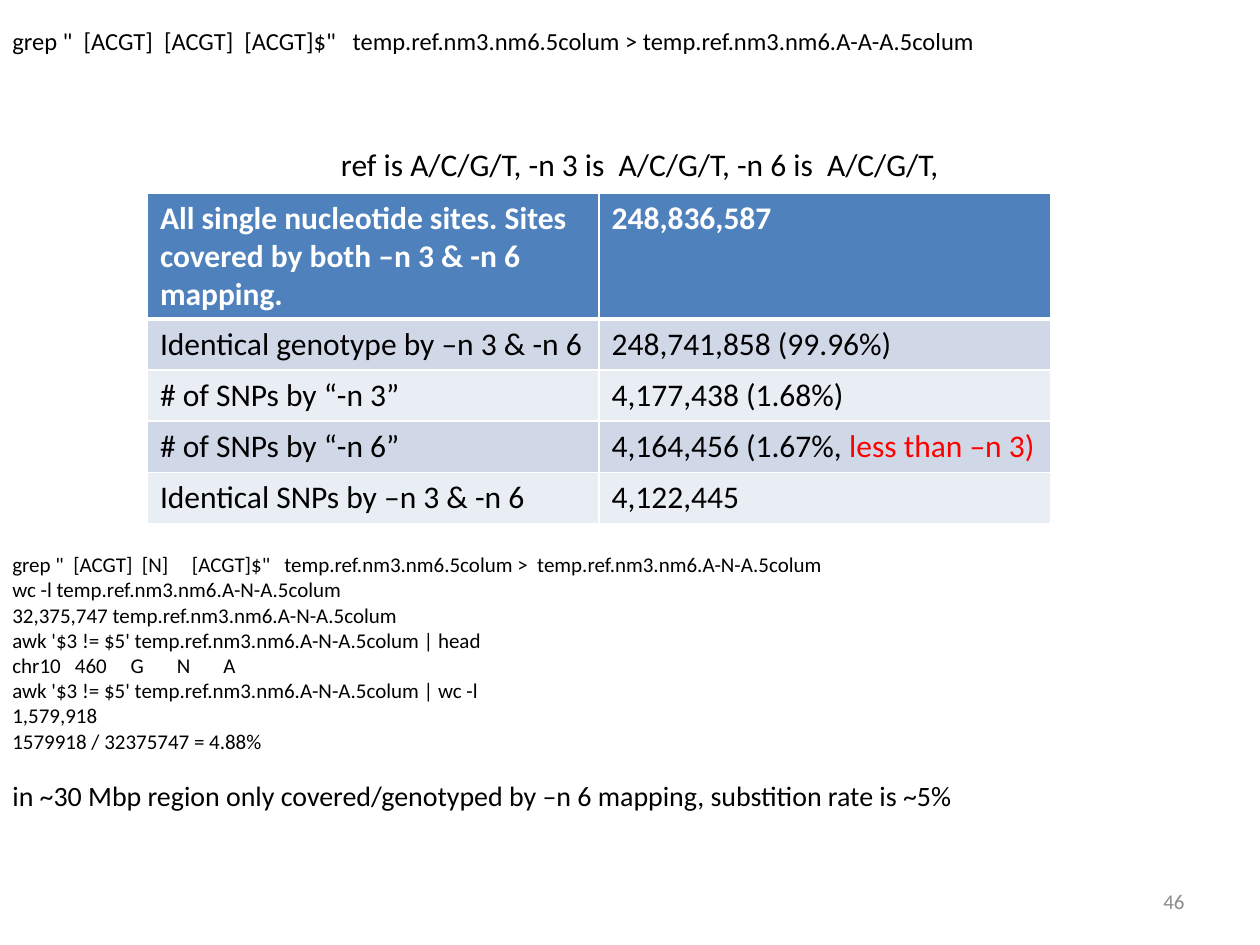
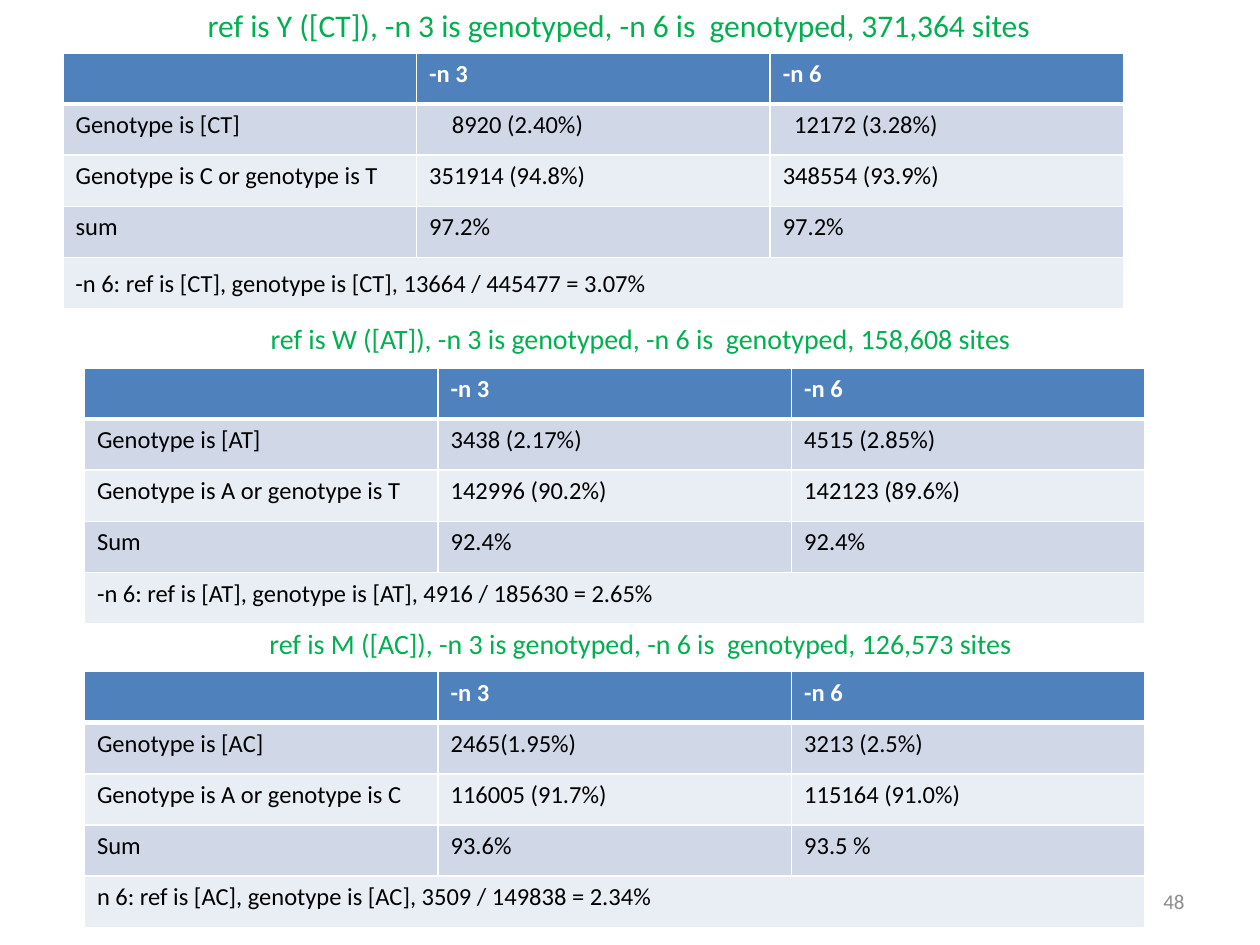
from pptx import Presentation
from pptx.dml.color import RGBColor
from pptx.enum.text import MSO_ANCHOR, MSO_AUTO_SIZE, PP_ALIGN
from pptx.oxml import parse_xml
from pptx.oxml.ns import nsdecls
from pptx.util import Inches, Pt

LEFT, CENTER, RIGHT = PP_ALIGN.LEFT, PP_ALIGN.CENTER, PP_ALIGN.RIGHT
TOP, MIDDLE = MSO_ANCHOR.TOP, MSO_ANCHOR.MIDDLE
GROW, FIXED = MSO_AUTO_SIZE.SHAPE_TO_FIT_TEXT, MSO_AUTO_SIZE.NONE

FONT = "Calibri"
BLACK = RGBColor(0x00, 0x00, 0x00)
WHITE = RGBColor(0xFF, 0xFF, 0xFF)
GRAY = RGBColor(0x8C, 0x8C, 0x8C)
RED = RGBColor(0xFF, 0x00, 0x00)
GREEN = RGBColor(0x00, 0xB0, 0x50)
HEADER_BLUE = RGBColor(0x4F, 0x81, 0xBD)
BANDS = (RGBColor(0xE9, 0xED, 0xF4), RGBColor(0xD0, 0xD8, 0xE8))
TITLE_ONLY_LAYOUT = 5
TABLE_HEIGHT = 2.03


def write(paragraph, text, size=14, color=BLACK, bold=False, align=LEFT):
    """Append one formatted run to a paragraph."""
    paragraph.alignment = align
    run = paragraph.add_run()
    run.text = text
    font = run.font
    font.name, font.size, font.bold = FONT, Pt(size), bold
    font.color.rgb = color


class SlideBuilder:
    """Hold the shared style and the slide being built."""

    def __init__(self):
        self.presentation = Presentation()
        self.presentation.slide_width = Inches(10)
        self.presentation.slide_height = Inches(7.5)
        self.slide = None

    def start_slide(self, number):
        layout = self.presentation.slide_layouts[TITLE_ONLY_LAYOUT]
        self.slide = self.presentation.slides.add_slide(layout)
        self.text(str(number), 7.17, 6.95, 2.33, 0.4, anchor=MIDDLE, auto_size=FIXED,
                  size=12, color=GRAY, align=RIGHT)

    def fill_frame(self, shape, lines, anchor=TOP, auto_size=GROW, **style):
        frame = shape.text_frame
        frame.word_wrap = True
        frame.auto_size = auto_size
        frame.vertical_anchor = anchor
        for index, line in enumerate(lines):
            paragraph = frame.add_paragraph() if index else frame.paragraphs[0]
            write(paragraph, line, **style)
        return frame

    def text(self, text, left, top, width, height, **style):
        box = self.slide.shapes.add_textbox(
            Inches(left), Inches(top), Inches(width), Inches(height))
        return self.fill_frame(box, text.split("\n"), **style)

    def title(self, text, left, top, width, height, **style):
        title = self.slide.shapes.title
        title.left, title.top = Inches(left), Inches(top)
        title.width, title.height = Inches(width), Inches(height)
        self.fill_frame(title, [text], align=CENTER, **style)

    def cell(self, cell, text, fill, bottom_width=1, **style):
        write(cell.text_frame.paragraphs[0], text, **style)
        properties = cell._tc.get_or_add_tcPr()
        for side in "LRTB":
            width = Pt(bottom_width if side == "B" else 1)
            properties.append(parse_xml(
                f'<a:ln{side} {nsdecls("a")} w="{width}"><a:solidFill>'
                f'<a:srgbClr val="{WHITE}"/></a:solidFill></a:ln{side}>'))
        cell.fill.solid()
        cell.fill.fore_color.rgb = fill

    def table(self, rows, left, top, width, size):
        frame = self.slide.shapes.add_table(
            len(rows), len(rows[0]), Inches(left), Inches(top),
            Inches(width), Inches(TABLE_HEIGHT))
        table = frame.table
        for row_index, row in enumerate(rows):
            for column_index, text in enumerate(row):
                cell = table.cell(row_index, column_index)
                if row_index == 0:
                    self.cell(cell, text, HEADER_BLUE, 3, size=size, color=WHITE, bold=True)
                else:
                    self.cell(cell, text, BANDS[row_index % 2], size=size)
        return table

    def genotype_table(self, rows, note, left, top):
        header = ("", "-n 3", "-n 6")
        table = self.table([header, *rows, (note, "", "")], left, top, 8.42, 14)
        table.cell(4, 0).merge(table.cell(4, 2))
        return table


def build_mapping_slide(builder):
    """Build the comparison of the two mappings."""
    builder.start_slide(46)
    builder.text('grep "  [ACGT]  [ACGT]  [ACGT]$"   temp.ref.nm3.nm6.5colum > '
                 "temp.ref.nm3.nm6.A-A-A.5colum", 0, 0.16, 10, 0.57)
    table = builder.table([
        ("All single nucleotide sites. Sites covered by both –n 3 & -n 6 mapping.",
         "248,836,587"),
        ("Identical genotype by –n 3 & -n 6", "248,741,858 (99.96%)"),
        ("# of SNPs by “-n 3”", "4,177,438 (1.68%)"),
        ("# of SNPs by “-n 6”", "4,164,456 (1.67%, "),
        ("Identical SNPs by –n 3 & -n 6", "4,122,445"),
    ], 1.17, 1.53, 7.17, 18)
    table.rows[0].height = Inches(0.98)
    write(table.cell(3, 1).text_frame.paragraphs[0], "less than –n 3)", size=18, color=RED)
    builder.title("ref is A/C/G/T, -n 3 is  A/C/G/T, -n 6 is  A/C/G/T, ",
                  2.58, 1.1, 5, 0.4, size=18)
    commands = builder.text(
        """grep "  [ACGT]  [N]     [ACGT]$"   temp.ref.nm3.nm6.5colum >  temp.ref.nm3.nm6.A-N-A.5colum
wc -l temp.ref.nm3.nm6.A-N-A.5colum
32,375,747 temp.ref.nm3.nm6.A-N-A.5colum
awk '$3 != $5' temp.ref.nm3.nm6.A-N-A.5colum | head
chr10   460     G       N       A
awk '$3 != $5' temp.ref.nm3.nm6.A-N-A.5colum | wc -l
1,579,918
1579918 / 32375747 = 4.88%""", 0, 4.33, 10, 2.42, size=12)
    conclusion = commands.add_paragraph()
    conclusion.space_before = Pt(14.5)
    write(conclusion, "in ~30 Mbp region only covered/genotyped by –n 6 mapping, "
          "substition rate is ~5%", size=16)


def build_genotype_slide(builder):
    """Build the three tables of ambiguous reference sites."""
    builder.start_slide(48)
    heading = "ref is {}, -n 3 is genotyped, -n 6 is  genotyped, {} sites"
    builder.title(heading.format("Y ([CT])", "371,364"), 0.5, 0, 8.83, 0.4,
                  size=18, color=GREEN)
    table = builder.genotype_table([
        ("Genotype is [CT]", "8920 (2.40%)", "12172 (3.28%)"),
        ("Genotype is C or genotype is T", "351914 (94.8%)", "348554 (93.9%)"),
        ("sum", "97.2%", "97.2%"),
    ], "", 0.5, 0.42)
    table.cell(1, 1).margin_left = Inches(0.28)
    table.cell(1, 2).margin_left = Inches(0.19)

    sections = [
        ("W ([AT])", "158,608", 2.5, 2.92, [
            ("Genotype is [AT]", "3438 (2.17%)", "4515 (2.85%)"),
            ("Genotype is A or genotype is T", "142996 (90.2%)", "142123 (89.6%)"),
            ("Sum", "92.4%", "92.4%"),
        ], "-n 6: ref is [AT], genotype is [AT], 4916 / 185630 = 2.65%"),
        ("M ([AC])", "126,573", 4.92, 5.33, [
            ("Genotype is [AC]", "2465(1.95%)", "3213 (2.5%)"),
            ("Genotype is A or genotype is C", "116005 (91.7%)", "115164 (91.0%)"),
            ("Sum", "93.6%", "93.5 %"),
        ], "n 6: ref is [AC], genotype is [AC], 3509 / 149838 = 2.34%"),
    ]
    for reference, sites, heading_top, table_top, rows, note in sections:
        builder.text(heading.format(reference, sites), 0.67, heading_top, 8.83, 0.37,
                     size=16, color=GREEN, align=CENTER)
        builder.genotype_table(rows, note, 0.67, table_top)
    builder.text("-n 6: ref is [CT], genotype is [CT], 13664 / 445477 = 3.07%",
                 0.5, 2.08, 7.75, 0.34)


def main():
    """Build both slides and save the presentation."""
    builder = SlideBuilder()
    build_mapping_slide(builder)
    build_genotype_slide(builder)
    builder.presentation.save("out.pptx")


if __name__ == "__main__":
    main()
